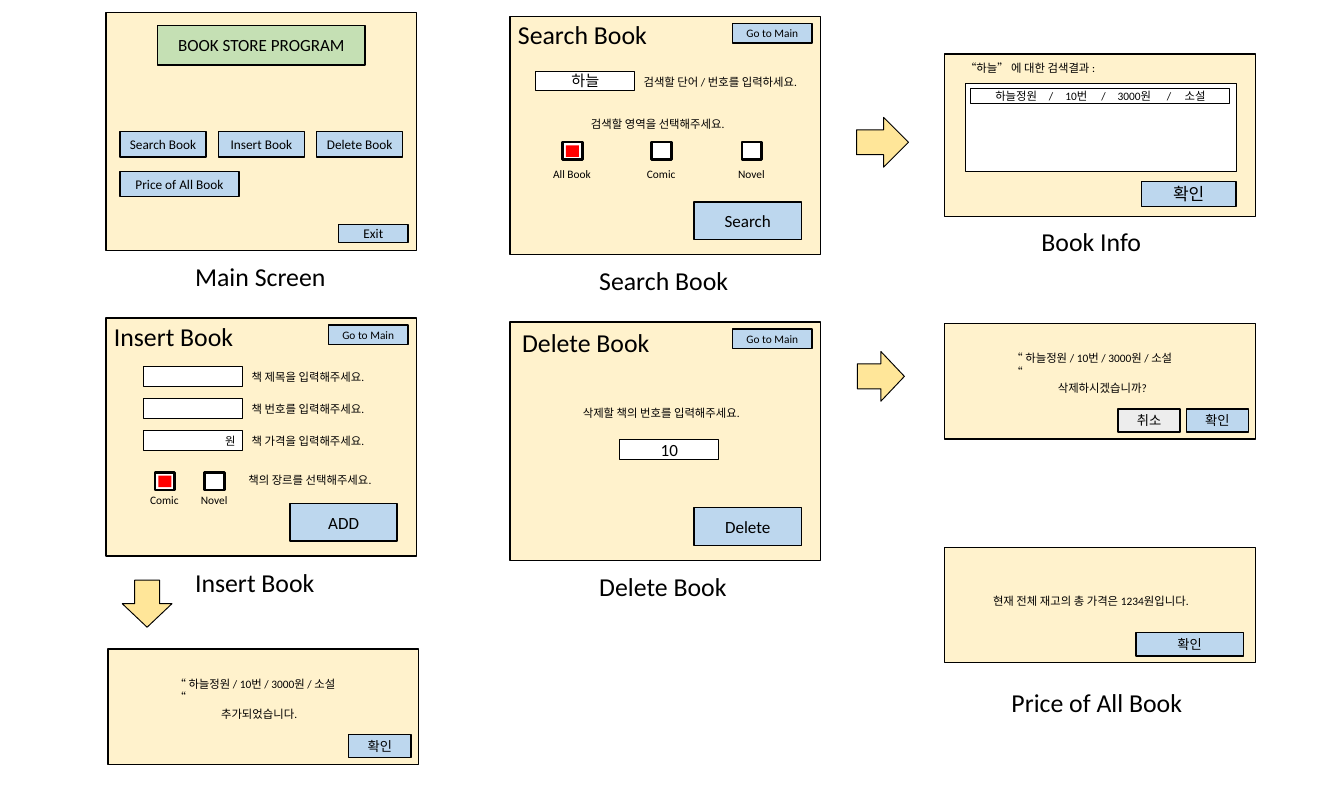
import pptx
import pptx.util
import pptx.dml.color
import pptx.enum.shapes
import pptx.enum.text
import pptx.oxml.ns
import lxml.etree

Inches, Pt = pptx.util.Inches, pptx.util.Pt
RGB = pptx.dml.color.RGBColor
ALIGN = pptx.enum.text.PP_ALIGN
SHAPE = pptx.enum.shapes.MSO_SHAPE

BLACK, WHITE = RGB(0, 0, 0), RGB(255, 255, 255)
CREAM, GREEN = RGB(0xFF, 0xF2, 0xCC), RGB(0xC5, 0xE0, 0xB4)
BLUE, GRAY = RGB(0xBD, 0xD7, 0xEE), RGB(0xED, 0xED, 0xED)
RED, GOLD = RGB(255, 0, 0), RGB(0xFF, 0xE6, 0x99)
FONT = "Calibri"

# Content: places inside a window are measured from its top left corner
COL_X = (1.55, 7.47, 13.84)
WIN_W, FORM_H, DIALOG_H = 4.55, 3.49, 1.69
FIELD = (1.45, 0.29)
FIELD_STEP = 0.47

MENU = ["Search Book", "Insert Book", "Delete Book"]
# window: corner, heading (place, width), action, text fields, notes, options
FORMS = [
    dict(at=(COL_X[1], 0.24), name="Search Book", head=(0.02, -0.01, 2.11), action="Search",
         fields=[(0.38, 0.8, "하늘", 16, ALIGN.CENTER)],
         notes=[(1.86, 0.81, 2.65, "검색할 단어 / 번호를 입력하세요."),
                (1.09, 1.43, 2.34, "검색할 영역을 선택해주세요.")],
         options=[("All Book", 0.77, 0.76), ("Comic", 2.08, 0.63), ("Novel", 3.4, 0.6)],
         option_y=1.84, label_gap=0.32),
    dict(at=(COL_X[0], 4.66), name="Insert Book", head=(0.02, -0.01, 1.97), action="ADD",
         fields=[(0.55, 0.71 + FIELD_STEP * i, t, 12, ALIGN.RIGHT)
                 for i, t in enumerate(["", "", "원"])],
         notes=[(2.04, 0.71 + FIELD_STEP * i, 2, f"책 {t} 입력해주세요.")
                for i, t in enumerate(["제목을", "번호를", "가격을"])]
         + [(1.99, 2.22, 2.17, "책의 장르를 선택해주세요.")],
         options=[("Comic", 0.72, 0.63), ("Novel", 1.45, 0.6)],
         option_y=2.26, label_gap=0.26),
    dict(at=(COL_X[1], 4.72), name="Delete Book", head=(0.08, 0.02, 2.08), action="Delete",
         fields=[(1.61, 1.72, "10", 18, ALIGN.CENTER)],
         notes=[(0.97, 1.18, 2.72, "삭제할 책의 번호를 입력해주세요.")],
         options=[], option_y=0, label_gap=0),
]
BOOK = ["하늘정원", "/", "10번", "/", "3000원", "/", "소설"]
BOOK_TABS = [0.57, 1.08, 1.45, 1.85, 2.3, 2.81, 3.19]
BOOK_NOTE = "“ " + " ".join(BOOK) + " “"
# corner, message, message width, buttons
MESSAGES = [
    ((COL_X[2], 4.74), "삭제하시겠습니까?", 1.63, [("취소", 2.54, GRAY), ("확인", 3.54, BLUE)]),
    ((1.58, 9.51), "추가되었습니다.", 1.42, [("확인", 3.53, BLUE)]),
]
ARROWS = [(12.55, 1.72, 0.76, 0), (12.56, 5.15, 0.69, 0), (1.81, 8.48, 0.69, 90)]

prs = pptx.Presentation()
prs.slide_width, prs.slide_height = Inches(19.69), Inches(11.81)
s = prs.slides.add_slide(prs.slide_layouts[6])


def write(tf, text, size, align):
    p = tf.paragraphs[0]
    p.text = text
    p.alignment = align
    for r in p.runs:
        r.font.size, r.font.name, r.font.color.rgb = Pt(size), FONT, BLACK


def box(x, y, w, h, fill, line=1.5, text="", size=14, align=ALIGN.CENTER, kind=SHAPE.RECTANGLE):
    sp = s.shapes.add_shape(kind, Inches(x), Inches(y), Inches(w), Inches(h))
    sp.shadow.inherit = False
    sp.fill.solid()
    sp.fill.fore_color.rgb = fill
    if line:
        sp.line.color.rgb, sp.line.width = BLACK, Pt(line)
    else:
        sp.line.fill.background()
    if text:
        sp.text_frame.vertical_anchor = pptx.enum.text.MSO_ANCHOR.MIDDLE
        write(sp.text_frame, text, size, align)
    return sp


def label(x, y, w, text, size=12, wrap=False):
    h = 0.56 if size > 12 else 0.3
    tf = s.shapes.add_textbox(Inches(x), Inches(y), Inches(w), Inches(h)).text_frame
    tf.word_wrap = wrap
    tf.auto_size = pptx.enum.text.MSO_AUTO_SIZE.SHAPE_TO_FIT_TEXT
    write(tf, text, size, ALIGN.LEFT)


def title(x, y, w, text):
    label(x, y, w, text, 27.2)


# Main screen
x, y = COL_X[0], 0.18
box(x, y, WIN_W, FORM_H, CREAM)
box(x + 0.76, y + 0.19, 3.04, 0.58, GREEN, text="BOOK STORE PROGRAM", size=18)
for i, name in enumerate(MENU):
    box(x + 0.21 + 1.44 * i, y + 1.75, 1.26, 0.37, BLUE, text=name)
box(x + 0.21, y + 2.33, 1.74, 0.37, BLUE, text="Price of All Book")
box(x + 3.41, y + 3.11, 1.02, 0.26, BLUE, text="Exit")
title(x + 1.21, y + 3.59, 2.13, "Main Screen")

# Search, insert and delete forms
for form in FORMS:
    x, y = form["at"]
    box(x, y, WIN_W, FORM_H, CREAM)
    dx, dy, w = form["head"]
    title(x + dx, y + dy, w, form["name"])
    title(x + 1.21, y + 3.59, w, form["name"])
    box(x + 3.26, y + 0.1, 1.17, 0.29, BLUE, text="Go to Main", size=12)
    box(x + 2.7, y + 2.72, 1.57, 0.55, BLUE, text=form["action"], size=18)
    for dx, dy, text, size, align in form["fields"]:
        box(x + dx, y + dy, *FIELD, WHITE, 1, text, size, align)
    for dx, dy, w, text in form["notes"]:
        label(x + dx, y + dy, w, text)
    # Check boxes with centred labels; the first one is ticked
    oy = y + form["option_y"]
    for i, (text, dx, w) in enumerate(form["options"]):
        box(x + dx, oy, 0.29, 0.26, WHITE, 3)
        if i == 0:
            box(x + dx + 0.05, oy + 0.05, 0.19, 0.17, RED, None)
        label(x + dx + (0.29 - w) / 2, oy + form["label_gap"], w, text)

# Book info window
x, y = COL_X[2], 0.79
box(x, y, WIN_W, 2.38, CREAM)
label(x + 0.2, y + 0.06, 2.06, "“하늘” 에 대한 검색결과 :")
box(x + 0.3, y + 0.43, 3.97, 1.29, WHITE, 1)
row = box(x + 0.38, y + 0.5, 3.8, 0.23, WHITE, 1, "\t" + "\t".join(BOOK), 12, ALIGN.LEFT)
qn = pptx.oxml.ns.qn
pPr = row.text_frame.paragraphs[0]._p.get_or_add_pPr()
tabs = lxml.etree.SubElement(pPr, qn("a:tabLst"))
for pos in BOOK_TABS:
    lxml.etree.SubElement(tabs, qn("a:tab"), pos=str(Inches(pos)), algn="ctr")
box(x + 2.88, y + 1.87, 1.39, 0.37, BLUE, text="확인", size=18)
title(x + 1.32, y + 2.47, 1.67, "Book Info")

# Message dialogs
for (x, y), text, w, buttons in MESSAGES:
    box(x, y, WIN_W, DIALOG_H, CREAM)
    label(x + 0.88, y + 0.36, 2.71, BOOK_NOTE, wrap=True)
    label(x + 1.56, y + 0.8, w, text)
    for name, dx, fill in buttons:
        box(x + dx, y + 1.25, 0.91, 0.34, fill, text=name)

# Total price dialog
x, y = COL_X[2], 8.02
box(x, y, WIN_W, DIALOG_H, CREAM)
label(x + 0.61, y + 0.63, 3.3, "현재 전체 재고의 총 가격은 1234원입니다.")
box(x + 2.8, y + 1.25, 1.58, 0.34, BLUE, text="확인")
title(x + 0.88, y + 2, 2.72, "Price of All Book")

# Arrows between windows
for x, y, w, turn in ARROWS:
    box(x, y, w, 0.73, GOLD, 1, kind=SHAPE.RIGHT_ARROW).rotation = turn

prs.save("out.pptx")
